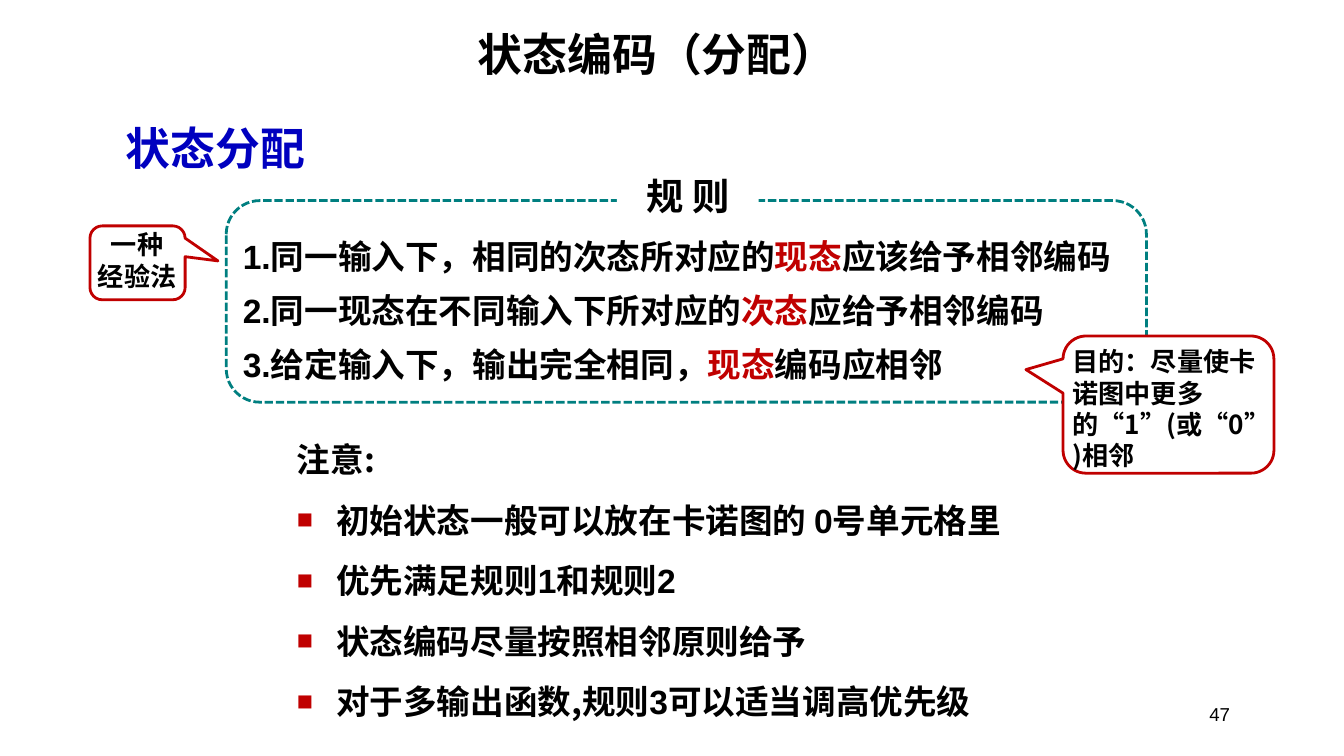
from lxml.etree import SubElement
from pptx import Presentation
from pptx.dml.color import RGBColor
from pptx.enum.dml import MSO_LINE
from pptx.enum.shapes import MSO_SHAPE as Preset
from pptx.enum.text import MSO_ANCHOR as Anchor, PP_ALIGN as Align
from pptx.oxml.ns import qn
from pptx.util import Pt

CJK, LATIN = "Noto Sans CJK SC", "Arial"
BLACK, WHITE, RED, BLUE, TEAL = "000000", "FFFFFF", "C00000", "0000BF", "007F80"


def color(value):
    return RGBColor.from_string(value)


class Page:
    """Style and current slide, with one method per kind of element."""

    line_height = 1.2
    border = 1.5

    def __init__(self, deck):
        self.slide = deck.slides.add_slide(deck.slide_layouts[6])

    def shape(self, preset, box, fill=None, line=None, dash=None, adjust=()):
        shape = self.slide.shapes.add_shape(preset, *map(Pt, box))
        shape.shadow.inherit = False
        if fill:
            shape.fill.solid()
            shape.fill.fore_color.rgb = color(fill)
        else:
            shape.fill.background()
        if line:
            shape.line.color.rgb = color(line)
            shape.line.width = Pt(self.border)
            shape.line.dash_style = dash
        else:
            shape.line.fill.background()
        for index, value in enumerate(adjust):
            shape.adjustments[index] = value
        return shape

    def text(self, box, size, paragraphs, fill=None, align=Align.LEFT, anchor=Anchor.TOP,
             bold=True, leading=1, before=0, hang=0, lift=0.11):
        if fill:
            holder = self.shape(Preset.RECTANGLE, box, fill)
        else:
            holder = self.slide.shapes.add_textbox(*map(Pt, box))
        frame = holder.text_frame
        frame.word_wrap = True
        frame.vertical_anchor = anchor
        frame.margin_left = frame.margin_right = Pt(7.2)
        frame.margin_top = Pt(3.6 + lift * size)
        frame.margin_bottom = Pt(3.6)
        for index, runs in enumerate(paragraphs):
            paragraph = frame.add_paragraph() if index else frame.paragraphs[0]
            paragraph.alignment = align
            paragraph.line_spacing = Pt(round(size * self.line_height * leading, 1))
            paragraph.space_before = Pt(before if index else 0)
            if hang:
                self.indent(paragraph, hang)
            for run in runs:
                self.run(paragraph, size, bold, *run)
        return frame

    def indent(self, paragraph, hang):
        properties = paragraph._p.get_or_add_pPr()
        properties.set("marL", str(Pt(hang)))
        properties.set("indent", str(-Pt(hang)))

    def bullet(self, paragraph, hang):
        self.indent(paragraph, hang)
        properties = paragraph._p.get_or_add_pPr()
        tint = SubElement(properties, qn("a:buClr"))
        SubElement(tint, qn("a:srgbClr"), val=RED)
        SubElement(properties, qn("a:buSzPct"), val="80000")
        SubElement(properties, qn("a:buFont"), typeface=LATIN)
        SubElement(properties, qn("a:buChar"), char="■")

    def run(self, paragraph, size, bold, words, font=CJK, tint=BLACK):
        run = paragraph.add_run()
        run.text = words
        run.font.size = Pt(size)
        run.font.bold = bold
        run.font.name = font
        run.font.color.rgb = color(tint)
        SubElement(run._r.get_or_add_rPr(), qn("a:ea"), typeface=CJK)


def main():
    deck = Presentation()
    deck.slide_width, deck.slide_height = Pt(720), Pt(405)
    page = Page(deck)

    page.text((124, 8, 456, 37), 24, [[("状态编码（分配）",)]], align=Align.CENTER)
    page.text((48, 58.5, 135, 37), 24, [[("状态分配", LATIN, BLUE)]],
              fill=WHITE, align=Align.CENTER)

    rules = [
        ("同一输入下，相同的次态所对应的", "现态", "应该给予相邻编码"),
        ("同一现态在不同输入下所对应的", "次态", "应给予相邻编码"),
        ("给定输入下，输出完全相同，", "现态", "编码应相邻"),
    ]
    page.text((123, 121.7, 490, 134), 18,
              [[(f"{number}.", LATIN), (start,), (key, CJK, RED), (end,)]
               for number, (start, key, end) in enumerate(rules, 1)],
              before=7.2, hang=28, lift=0.07)
    page.shape(Preset.ROUNDED_RECTANGLE, (121.2, 107.5, 493, 108), line=TEAL,
               dash=MSO_LINE.SQUARE_DOT, adjust=[0.167])
    page.text((330.5, 87, 76, 32), 20, [[("规 则",)]], fill=WHITE, align=Align.CENTER)

    page.shape(Preset.ROUNDED_RECTANGULAR_CALLOUT, (569.5, 180, 113, 73.5), WHITE, RED,
               adjust=[-0.676, -0.255, 0.167])
    page.text((567.4, 180, 121, 75), 14,
              [[("目的：尽量使卡诺图中更多的“1”(或“0”)相邻",)]])

    notes = page.text((152, 219.6, 440.6, 170.6), 18, [
        [("注意:",)],
        [("初始状态一般可以放在卡诺图的 ",), ("0", LATIN), ("号单元格里",)],
        [("优先满足规则",), ("1", LATIN), ("和规则",), ("2", LATIN)],
        [("状态编码尽量按照相邻原则给予",)],
        [("对于多输出函数,规则",), ("3", LATIN), ("可以适当调高优先级",)],
    ], leading=1.5, lift=0.07)
    heading, *items = notes.paragraphs
    page.indent(heading, 36)
    for item in items:
        page.bullet(item, 21)

    page.shape(Preset.ROUNDED_RECTANGULAR_CALLOUT, (48.2, 121, 51, 39.6), WHITE, RED,
               adjust=[0.845, -0.026, 0.167])
    page.text((42.5, 118, 62, 45.4), 14, [[("一种",)], [("经验法",)]],
              align=Align.CENTER, lift=0.07)

    page.text((516.2, 368.6, 149.8, 27.4), 10, [[("47", LATIN)]], align=Align.RIGHT,
              anchor=Anchor.MIDDLE, bold=False, lift=0)
    deck.save("out.pptx")


if __name__ == "__main__":
    main()
